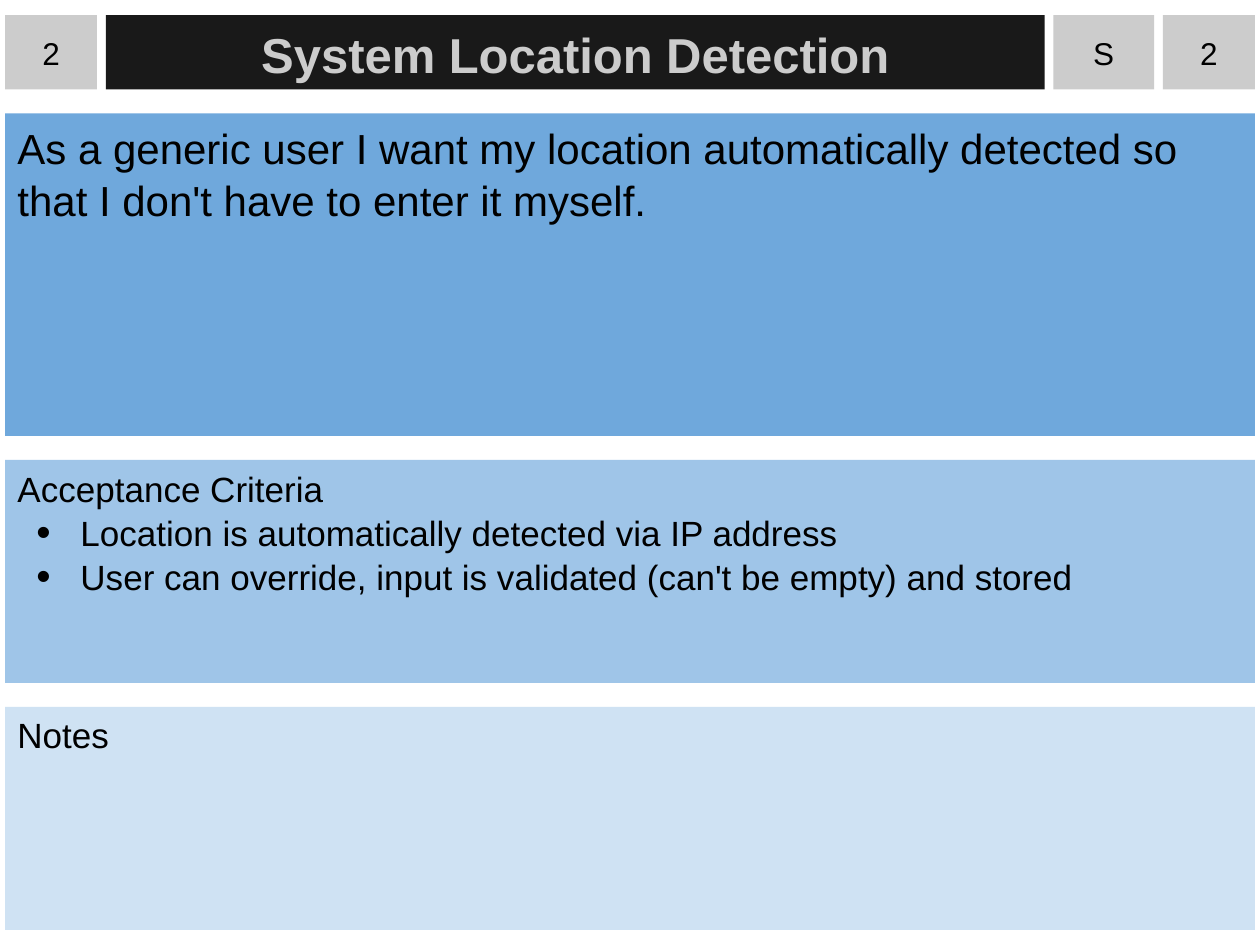
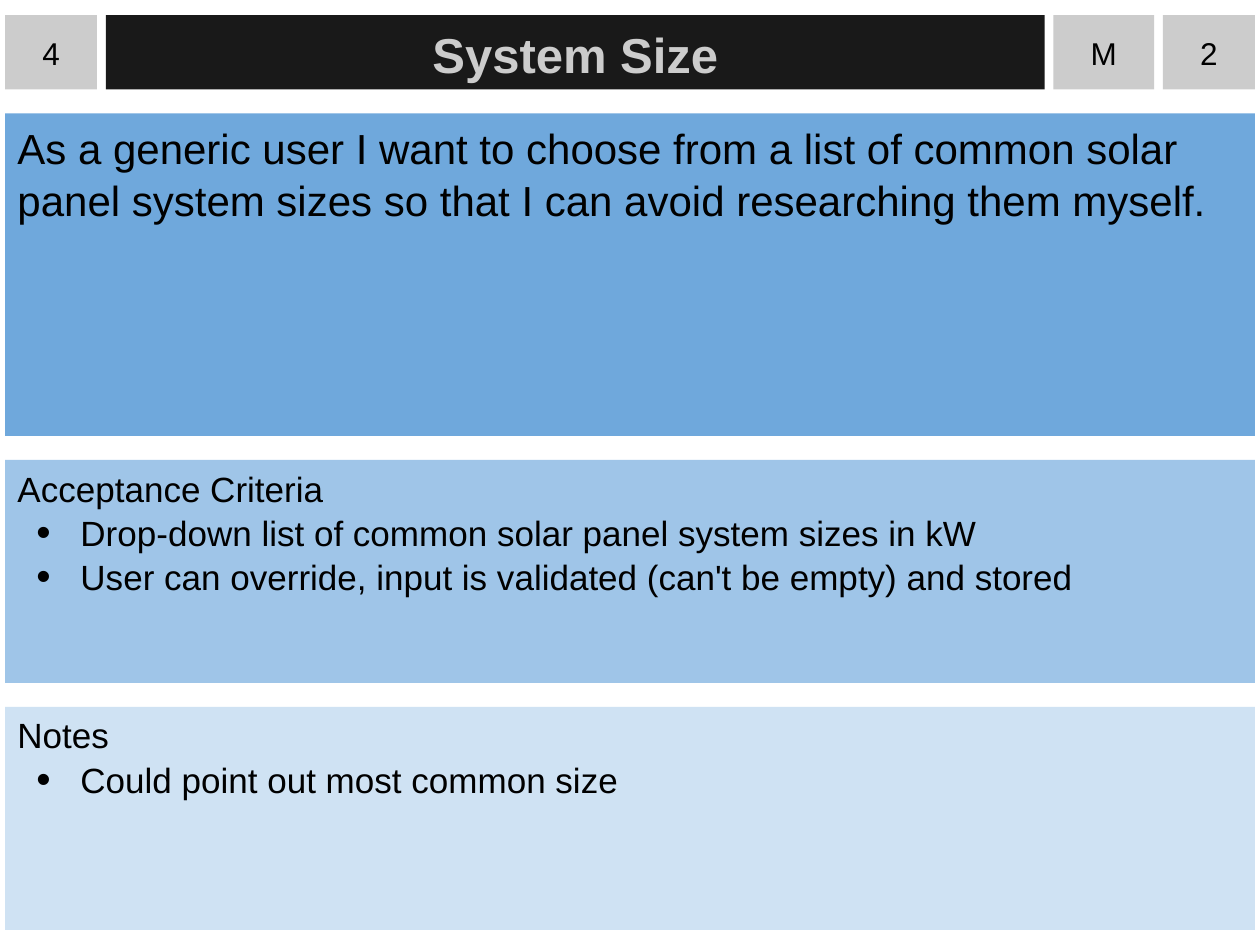
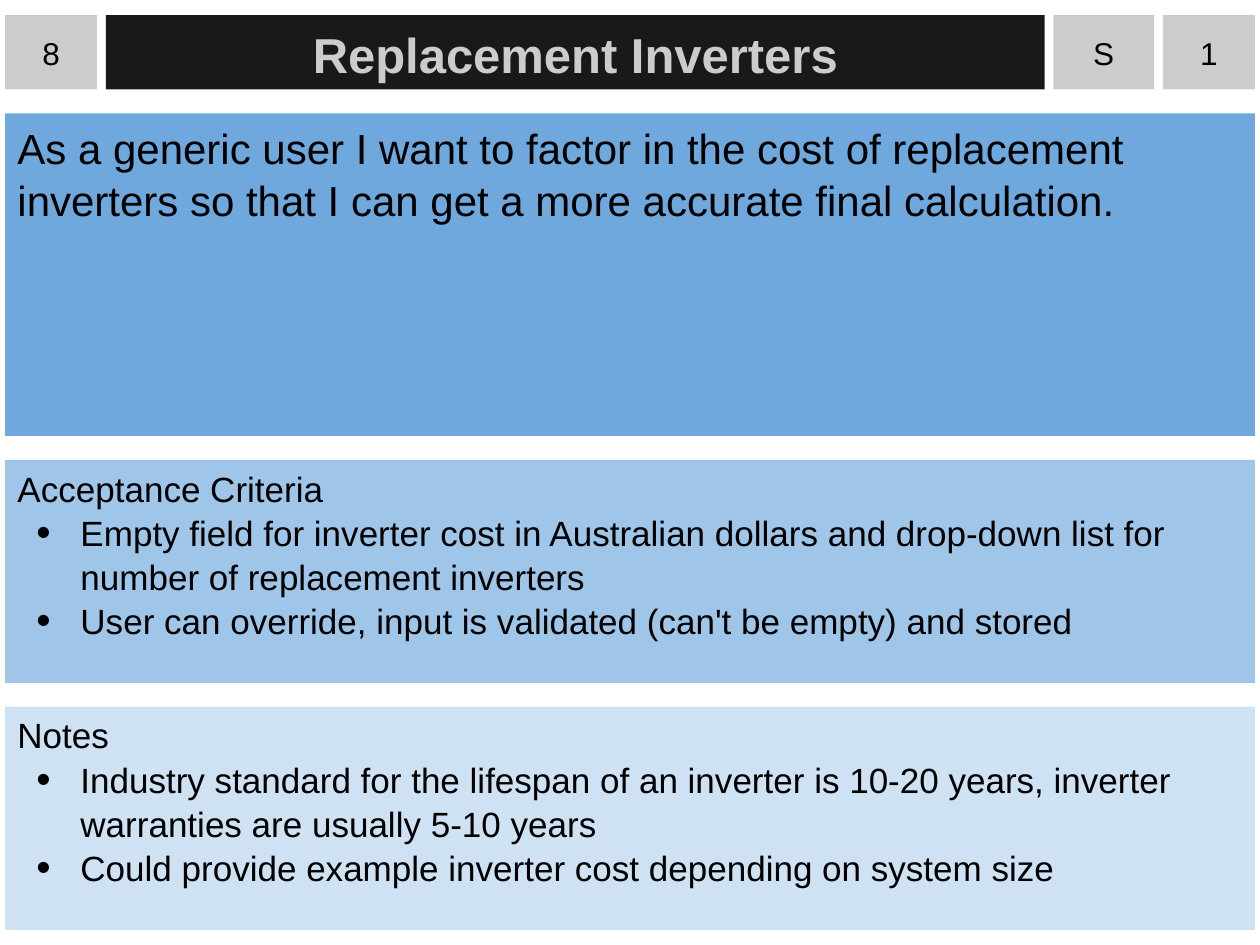
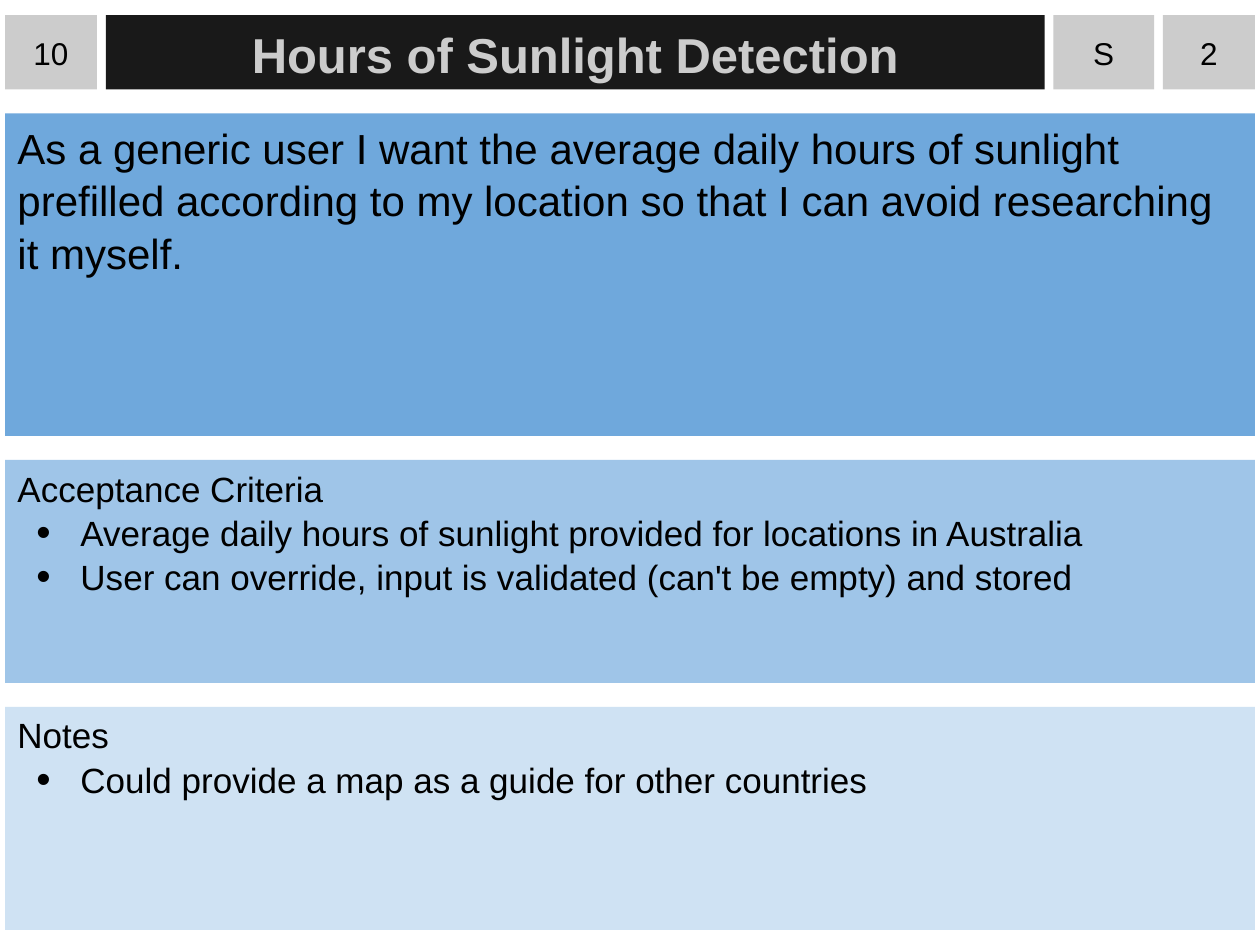
from dataclasses import dataclass

from lxml.etree import SubElement
from pptx import Presentation
from pptx.dml.color import RGBColor
from pptx.enum.shapes import MSO_SHAPE
from pptx.enum.text import MSO_ANCHOR, MSO_AUTO_SIZE, PP_ALIGN
from pptx.oxml.ns import qn
from pptx.util import Inches, Pt

BLACK = RGBColor(0x00, 0x00, 0x00)
CHARCOAL = RGBColor(0x19, 0x19, 0x19)
GREY = RGBColor(0xCC, 0xCC, 0xCC)
STORY_BLUE = RGBColor(0x6F, 0xA8, 0xDC)
CRITERIA_BLUE = RGBColor(0x9F, 0xC5, 0xE8)
NOTES_BLUE = RGBColor(0xCF, 0xE2, 0xF3)

FONT = "Arial"
LEFT, TOP = 0.04, 0.12
HEADER_HEIGHT, PANEL_WIDTH = 0.59, 9.92
COLUMN_GAP, ROW_GAP = 0.07, 0.19
LINE_SPACING = 1.05


@dataclass(frozen=True)
class Style:
    fill: RGBColor
    size: int
    color: RGBColor = BLACK
    bold: bool = False
    centered: bool = False
    side_inset: float = 0.1
    top_inset: float = 0.05


TAG = Style(GREY, 18, centered=True, side_inset=0)
TITLE = Style(CHARCOAL, 28, color=GREY, bold=True, centered=True)
STORY = Style(STORY_BLUE, 24)
CRITERIA = Style(CRITERIA_BLUE, 20, top_inset=0.04)
NOTES = Style(NOTES_BLUE, 20, top_inset=0.04)


@dataclass(frozen=True)
class StoryCard:
    number: str
    title: str
    size: str
    priority: str
    story: str
    criterion: str
    notes: tuple[str, ...] = ()


SHARED_CRITERION = "User can override, input is validated (can't be empty) and stored"

CARDS = (
    StoryCard(
        "2", "System Location Detection", "S", "2",
        "As a generic user I want my location automatically detected so that "
        "I don't have to enter it myself.",
        "Location is automatically detected via IP address",
    ),
    StoryCard(
        "4", "System Size", "M", "2",
        "As a generic user I want to choose from a list of common solar panel "
        "system sizes so that I can avoid researching them myself.",
        "Drop-down list of common solar panel system sizes in kW",
        ("Could point out most common size",),
    ),
    StoryCard(
        "8", "Replacement Inverters", "S", "1",
        "As a generic user I want to factor in the cost of replacement inverters "
        "so that I can get a more accurate final calculation.",
        "Empty field for inverter cost in Australian dollars and drop-down list "
        "for number of replacement inverters",
        (
            "Industry standard for the lifespan of an inverter is 10-20 years, "
            "inverter warranties are usually 5-10 years",
            "Could provide example inverter cost depending on system size",
        ),
    ),
    StoryCard(
        "10", "Hours of Sunlight Detection", "S", "2",
        "As a generic user I want the average daily hours of sunlight prefilled "
        "according to my location so that I can avoid researching it myself.",
        "Average daily hours of sunlight provided for locations in Australia",
        ("Could provide a map as a guide for other countries",),
    ),
)


def add_bullet(p) -> None:
    pPr = p._p.get_or_add_pPr()
    pPr.set("marL", str(Inches(0.5)))
    pPr.set("indent", str(Inches(-0.35)))
    color = SubElement(pPr, qn("a:buClr"))
    SubElement(color, qn("a:srgbClr"), val=str(BLACK))
    SubElement(pPr, qn("a:buSzPct"), val="117000")
    SubElement(pPr, qn("a:buFont"), typeface=FONT)
    SubElement(pPr, qn("a:buChar"), char="•")


def add_box(slide, x: float, y: float, width: float, height: float,
            style: Style, text: str, bullets: tuple[str, ...] = ()) -> None:
    """Draw a filled rectangle with a lead paragraph and optional bullets."""
    sp = slide.shapes.add_shape(
        MSO_SHAPE.RECTANGLE, Inches(x), Inches(y), Inches(width), Inches(height))
    sp.shadow.inherit = False
    sp.fill.solid()
    sp.fill.fore_color.rgb = style.fill
    sp.line.fill.background()

    tf = sp.text_frame
    tf.word_wrap = True
    tf.auto_size = MSO_AUTO_SIZE.SHAPE_TO_FIT_TEXT
    tf.vertical_anchor = MSO_ANCHOR.MIDDLE if style.centered else MSO_ANCHOR.TOP
    tf.margin_left = tf.margin_right = Inches(style.side_inset)
    tf.margin_top = Inches(style.top_inset)
    tf.margin_bottom = Inches(0.05)

    for i, line in enumerate((text, *bullets)):
        p = tf.add_paragraph() if i else tf.paragraphs[0]
        p.alignment = PP_ALIGN.CENTER if style.centered else PP_ALIGN.LEFT
        p.line_spacing = LINE_SPACING
        if i:
            add_bullet(p)
        r = p.add_run()
        r.text = line
        r.font.name = FONT
        r.font.size = Pt(style.size)
        r.font.bold = style.bold
        r.font.color.rgb = style.color


def add_header(slide, card: StoryCard) -> None:
    x = LEFT
    for width, style, text in (
        (0.73, TAG, card.number),
        (7.45, TITLE, card.title),
        (0.8, TAG, card.size),
        (0.73, TAG, card.priority),
    ):
        add_box(slide, x, TOP, width, HEADER_HEIGHT, style, text)
        x += width + COLUMN_GAP


def add_panels(slide, card: StoryCard) -> None:
    y = TOP + HEADER_HEIGHT + ROW_GAP
    for height, style, text, bullets in (
        (2.56, STORY, card.story, ()),
        (1.77, CRITERIA, "Acceptance Criteria", (card.criterion, SHARED_CRITERION)),
        (1.77, NOTES, "Notes", card.notes),
    ):
        add_box(slide, LEFT, y, PANEL_WIDTH, height, style, text, bullets)
        y += height + ROW_GAP


def main() -> None:
    prs = Presentation()
    prs.slide_width, prs.slide_height = Inches(10), Inches(7.5)
    for card in CARDS:
        slide = prs.slides.add_slide(prs.slide_layouts[6])
        add_header(slide, card)
        add_panels(slide, card)
    prs.save("out.pptx")


if __name__ == "__main__":
    main()
